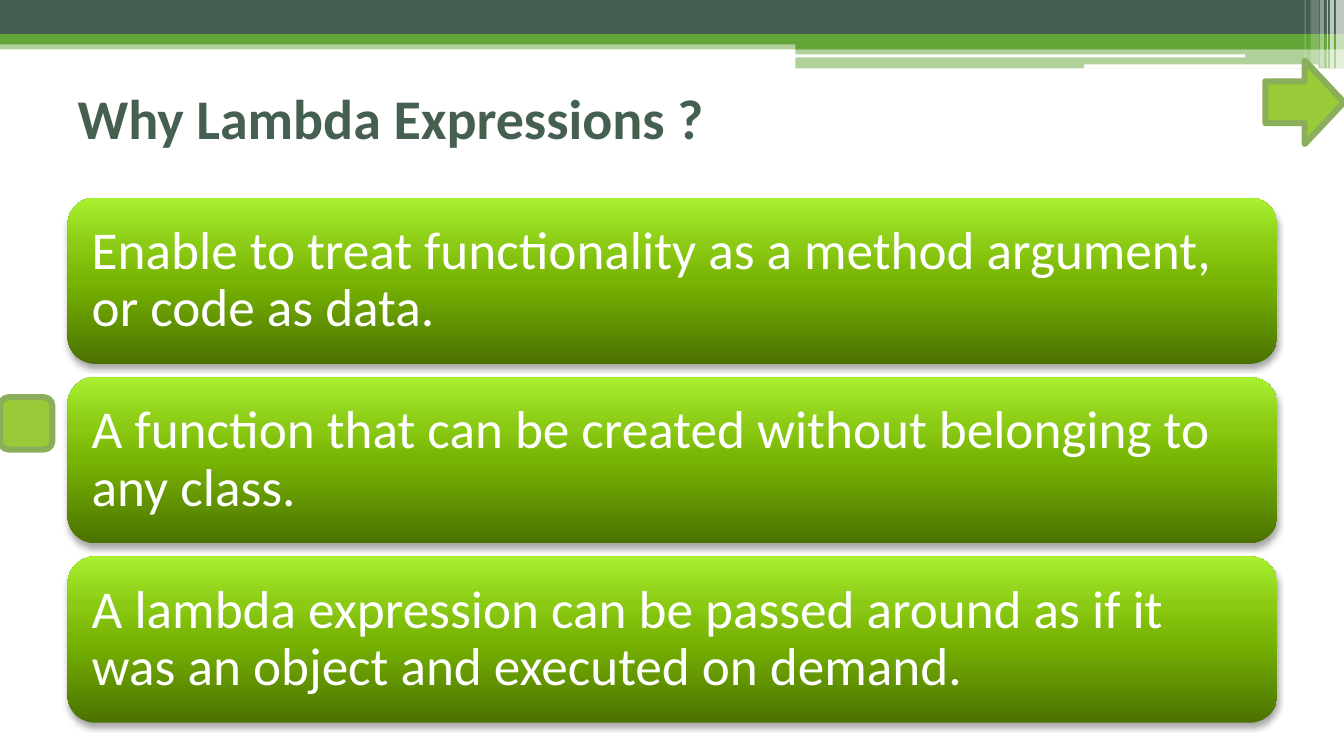
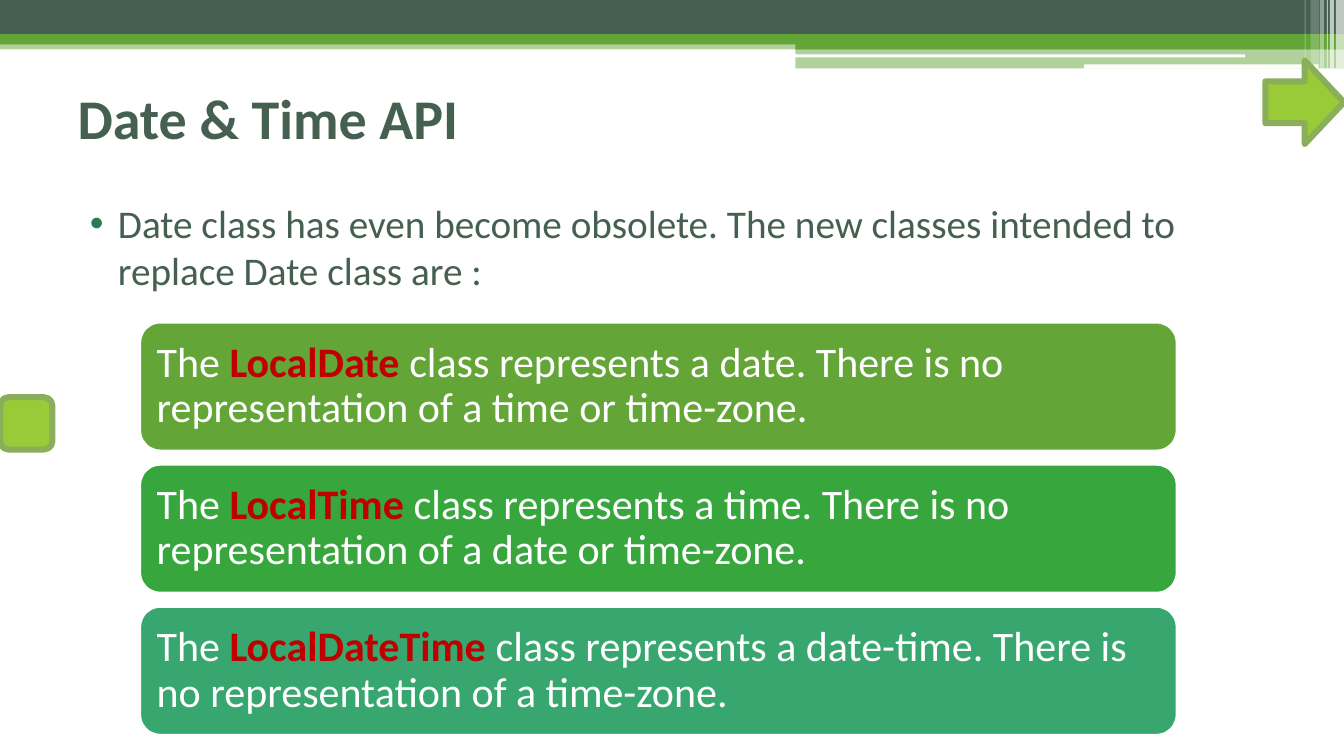
from lxml import etree
from pptx import Presentation
from pptx.dml.color import RGBColor
from pptx.enum import shapes, text
from pptx.oxml import ns
from pptx.util import Inches, Pt

# Shared look
FONT = "Calibri"
WHITE, DARK, GREEN = "FFFFFF", "455F51", "63A537"
LIME, OLIVE, RED, BULLET = "99CB38", "8AAE59", "C00000", "297D53"
GLOSS = [(0, "4B7200"), (50, "78B403"), (70, "8AC914"), (100, "A8F030")]
RECT = shapes.MSO_SHAPE.RECTANGLE
ROUND = shapes.MSO_SHAPE.ROUNDED_RECTANGLE
ARROW = shapes.MSO_SHAPE.RIGHT_ARROW
BORDER = 4.33

# Header bands: shape, left, top, width, height, colour, opacity in percent
BANDS = [
    (RECT, 0, 0.4, 13.33, 0.09, GREEN, 50),
    (RECT, 0, 0, 13.33, 0.34, DARK, 100),
    (RECT, 0, 0.34, 13.33, 0.1, GREEN, 100),
    (RECT, 7.89, 0.39, 5.44, 0.1, GREEN, 100),
    (RECT, 7.89, 0.48, 5.44, 0.2, GREEN, 50),
    (ROUND, 7.88, 0.54, 4.47, 0.03, WHITE, 100),
    (ROUND, 10.75, 0.64, 2.33, 0.04, WHITE, 100),
]
# Upright stripes in the corner: left, width, height, opacity
STRIPES = [
    (13.25, 0.08, 0.68, 65), (13.19, 0.04, 0.68, 65), (13.16, 0.01, 0.68, 60),
    (13.09, 0.04, 0.68, 40), (13, 0.08, 0.64, 20), (12.94, 0.01, 0.64, 30),
]

REASONS = [
    "Enable to treat functionality as a method argument, or code as data.",
    "A function that can be created without belonging to any class.",
    "A lambda expression can be passed around as if it was an object and "
    "executed on demand.",
]
CLASSES = [
    (GREEN, "LocalDate", " class represents a date. There is no "
     "representation of a time or time-zone."),
    ("37A63D", "LocalTime", " class represents a time. There is no "
     "representation of a date or time-zone."),
    ("37A76F", "LocalDateTime", " class represents a date-time. There is no "
     "representation of a time-zone."),
]


def colour(value):
    return RGBColor.from_string(value)


def add_xml(parent, tag, **attributes):
    return etree.SubElement(parent, ns.qn(tag), attributes)


def apply(target, values):
    for name, value in values.items():
        setattr(target, name, value)


def place(shape, *frame):
    apply(shape, dict(zip(("left", "top", "width", "height"), map(Inches, frame))))


def add_box(page, kind, frame, fill=None, opacity=100, line=None):
    box = page.shapes.add_shape(kind, *map(Inches, frame))
    box.shadow.inherit = False
    if fill:
        box.fill.solid()
        box.fill.fore_color.rgb = colour(fill)
    if opacity < 100:
        tint = box.element.spPr.find(".//" + ns.qn("a:srgbClr"))
        add_xml(tint, "a:alpha", val=str(opacity * 1000))
    if line:
        box.line.color.rgb = colour(line)
        box.line.width = Pt(BORDER)
    else:
        box.line.fill.background()
    return box


def add_gloss(box):
    """Upward gradient with a soft shadow below."""
    box.fill.gradient()
    box.fill.gradient_angle = 90
    stops = box.element.spPr.find(".//" + ns.qn("a:gsLst"))
    for stop in list(stops):
        stops.remove(stop)
    for position, value in GLOSS:
        stop = add_xml(stops, "a:gs", pos=str(position * 1000))
        add_xml(stop, "a:srgbClr", val=value)
    effects = box.element.spPr.find(ns.qn("a:effectLst"))
    shadow = add_xml(effects, "a:outerShdw", blurRad=str(Pt(4)), dist=str(Pt(3)),
                     dir="5400000", rotWithShape="0")
    tint = add_xml(shadow, "a:srgbClr", val="000000")
    add_xml(tint, "a:alpha", val="35000")


def write(shape, spans, size, inset=None, anchor=text.MSO_ANCHOR.MIDDLE, spacing=None):
    """Fill a shape with one paragraph of (words, colour, bold) spans."""
    frame = shape.text_frame
    apply(frame, {"word_wrap": True, "vertical_anchor": anchor,
                  "auto_size": text.MSO_AUTO_SIZE.NONE})
    if inset is not None:
        sides = ("margin_left", "margin_top", "margin_right", "margin_bottom")
        apply(frame, dict.fromkeys(sides, Inches(inset)))
    para = frame.paragraphs[0]
    apply(para, {"alignment": text.PP_ALIGN.LEFT, "line_spacing": spacing})
    for words, value, bold in spans:
        span = para.add_run()
        span.text = words
        apply(span.font, {"name": FONT, "size": Pt(size), "bold": bold})
        span.font.color.rgb = colour(value)
    return para


def add_page(deck, layout, title):
    page = deck.slides.add_slide(deck.slide_layouts.get_by_name(layout))
    for kind, left, top, width, height, fill, opacity in BANDS:
        add_box(page, kind, (left, top, width, height), fill, opacity)
    for left, width, height, opacity in STRIPES:
        add_box(page, RECT, (left, 0, width, height), WHITE, opacity)
    add_box(page, ARROW, (12.55, 0.6, 0.78, 0.83), LIME, line=OLIVE)
    add_box(page, ROUND, (0, 3.94, 0.52, 0.52), LIME, line=OLIVE)
    place(page.shapes.title, 0.67, 0.58, 12, 1.17)
    write(page.shapes.title, [(title, DARK, True)], 40)
    return page


def add_bullet(body, words):
    para = write(body, [(words, DARK, False)], 28, anchor=text.MSO_ANCHOR.TOP)
    para.space_before = Pt(3)
    props = para._p.get_or_add_pPr()
    props.set("marL", str(Inches(0.4)))
    props.set("indent", str(Inches(-0.28)))
    add_xml(add_xml(props, "a:buClr"), "a:srgbClr", val=BULLET)
    add_xml(props, "a:buChar", char="•")


def build_reasons(deck):
    page = add_page(deck, "Title Only", "Why Lambda Expressions ?")
    for row, reason in enumerate(REASONS):
        card = add_box(page, ROUND, (0.67, 1.96 + row * 1.78, 12, 1.65))
        add_gloss(card)
        write(card, [(reason, WHITE, False)], 38, inset=0.16, spacing=0.9)


def build_classes(deck):
    page = add_page(deck, "Title and Content", "Date & Time API")
    body = page.placeholders[1]
    place(body, 0.67, 1.93, 12, 1.07)
    add_bullet(body, "Date class has even become obsolete. The new classes "
                     "intended to replace Date class are :")
    for row, (fill, name, meaning) in enumerate(CLASSES):
        card = add_box(page, ROUND, (1.37, 3.18 + row * 1.41, 10.32, 1.31),
                       fill, line=WHITE)
        spans = [("The ", WHITE, False), (name, RED, True), (meaning, WHITE, False)]
        write(card, spans, 30, inset=0.12, spacing=0.9)


def main():
    deck = Presentation()
    apply(deck, {"slide_width": Inches(13.33), "slide_height": Inches(7.5)})
    build_reasons(deck)
    build_classes(deck)
    deck.save("out.pptx")


if __name__ == "__main__":
    main()
